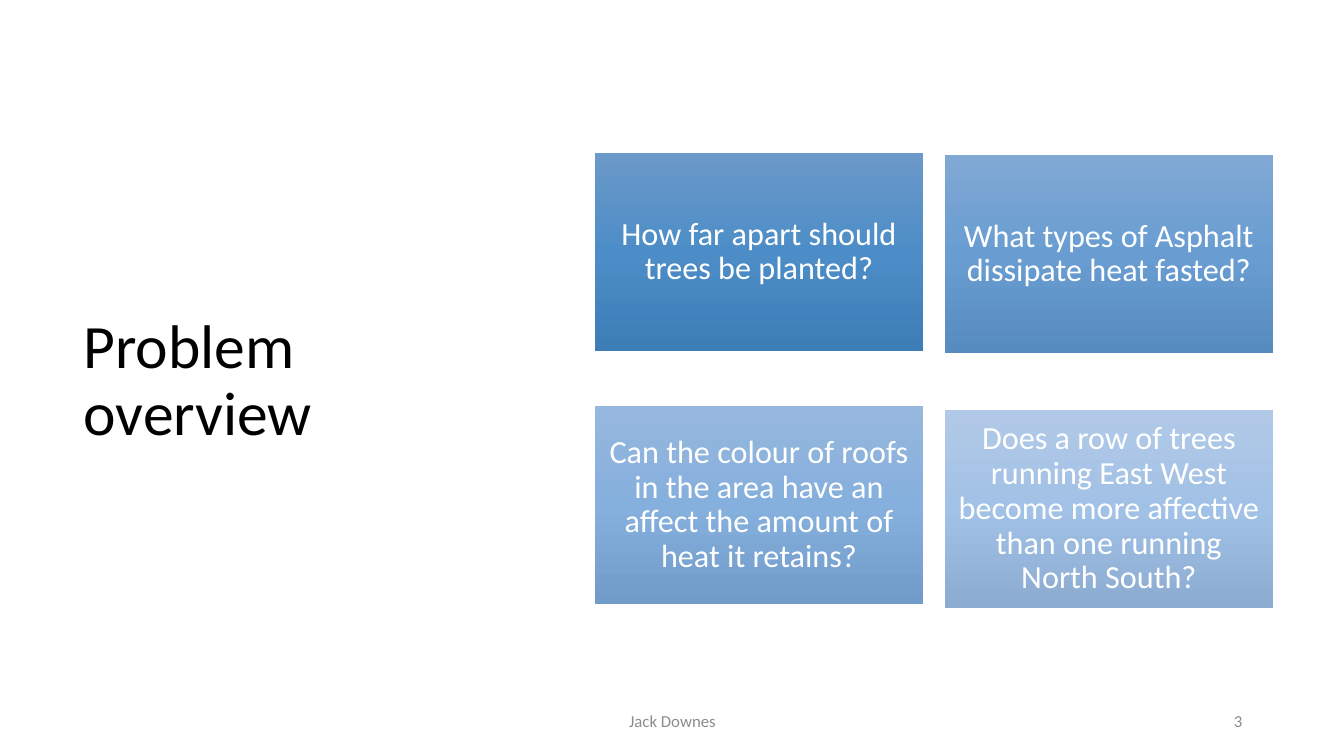
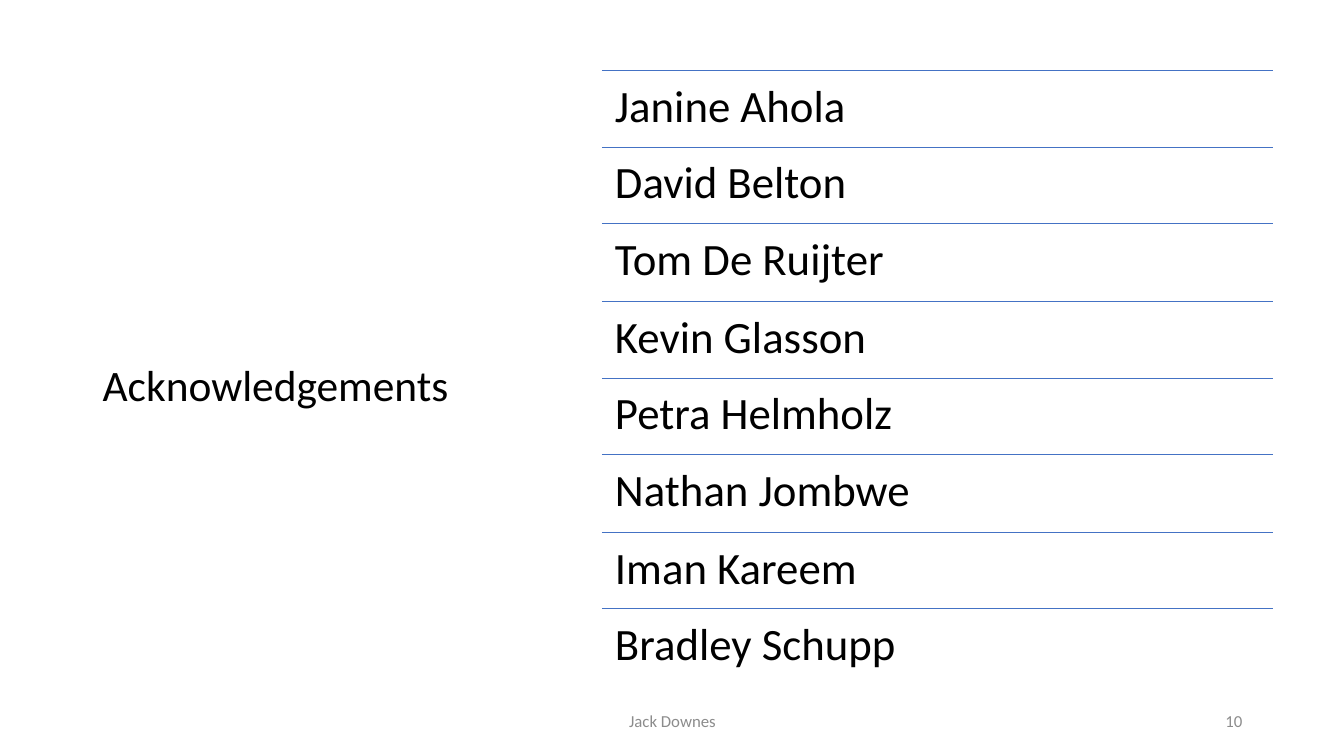
"""Builds a problem overview slide and an acknowledgements slide."""
from copy import deepcopy

from lxml import etree
from pptx import Presentation
from pptx.dml.color import RGBColor
from pptx.enum.shapes import MSO_CONNECTOR, MSO_SHAPE
from pptx.enum.text import MSO_ANCHOR, PP_ALIGN
from pptx.oxml.ns import qn
from pptx.util import Emu, Pt

EMU_PER_PX = 9144
SLIDE_WIDTH, SLIDE_HEIGHT = 1333, 750
FONT = "Calibri"
BLACK = RGBColor(0x00, 0x00, 0x00)
WHITE = RGBColor(0xFF, 0xFF, 0xFF)
GREY = RGBColor(0x8C, 0x8C, 0x8C)
RULE_BLUE = RGBColor(0x44, 0x72, 0xC4)
CARD_GRADIENTS = [
    [RGBColor(0x6B, 0x99, 0xC9), RGBColor(0x4D, 0x8D, 0xC7), RGBColor(0x3E, 0x7E, 0xB7)],
    [RGBColor(0x80, 0xA8, 0xD3), RGBColor(0x69, 0x9D, 0xD2), RGBColor(0x57, 0x8C, 0xC0)],
    [RGBColor(0x97, 0xB8, 0xDE), RGBColor(0x85, 0xAF, 0xDC), RGBColor(0x71, 0x9B, 0xC9)],
    [RGBColor(0xB1, 0xC9, 0xE7), RGBColor(0xA2, 0xC1, 0xE6), RGBColor(0x8C, 0xAB, 0xD1)],
]
LEFT, CENTER, RIGHT = PP_ALIGN.LEFT, PP_ALIGN.CENTER, PP_ALIGN.RIGHT
TOP, MIDDLE = MSO_ANCHOR.TOP, MSO_ANCHOR.MIDDLE
RECTANGLE = MSO_SHAPE.RECTANGLE
STRAIGHT = MSO_CONNECTOR.STRAIGHT

PRESENTER = "Jack Downes"
QUESTIONS = [
    "How far apart should trees be planted?",
    "What types of Asphalt dissipate heat fasted?",
    "Can the colour of roofs in the area have an affect the amount of heat it retains?",
    "Does a row of trees running East West become more affective than one running North South?",
]
NAMES = [
    "Janine Ahola", "David Belton", "Tom De Ruijter", "Kevin Glasson",
    "Petra Helmholz", "Nathan Jombwe", "Iman Kareem", "Bradley Schupp",
]


def px(*lengths):
    """Turn pixel lengths into EMU."""
    return [Emu(length * EMU_PER_PX) for length in lengths]


def write(shape, text, size, color, align=LEFT, anchor=MIDDLE, spacing=0.9, inset=None):
    """Put one styled paragraph into a shape."""
    frame = shape.text_frame
    frame.word_wrap = True
    frame.vertical_anchor = anchor
    if inset is not None:
        frame.margin_left, frame.margin_top, frame.margin_right, frame.margin_bottom = px(*[inset] * 4)
    paragraph = frame.paragraphs[0]
    paragraph.alignment = align
    paragraph.line_spacing = spacing
    run = paragraph.add_run()
    run.text = text
    run.font.name = FONT
    run.font.size = Pt(size)
    run.font.color.rgb = color


def add_text(slide, box, text, size, color, **style):
    """Add a text box."""
    write(slide.shapes.add_textbox(*px(*box)), text, size, color, **style)


def add_card(slide, box, text, colors):
    """Add a question card with a vertical gradient."""
    card = slide.shapes.add_shape(RECTANGLE, *px(*box))
    card.shadow.inherit = False
    card.line.fill.background()
    card.fill.gradient()
    card.fill.gradient_angle = 270
    stop_list = card._element.xpath(".//a:gsLst")[0]
    stop_list.append(deepcopy(stop_list[0]))
    for stop, color, position in zip(card.fill.gradient_stops, colors, (0, 0.5, 1)):
        stop.color.rgb = color
        stop.position = position
    write(card, text, 23, WHITE, align=CENTER, inset=10)


def add_card_grid(slide, box):
    """Lay the questions out in two columns, the right one slightly lower."""
    left, top, width, height = box
    card_width, card_height = 326, 196
    for index, (question, colors) in enumerate(zip(QUESTIONS, CARD_GRADIENTS)):
        row, column = divmod(index, 2)
        x = left + column * (width - card_width)
        y = top + row * (height - card_height) + column * (row + 1) * 2
        add_card(slide, (x, y, card_width, card_height), question, colors)


def add_name_list(slide, box):
    """Stack the names in equal rows, each under a thin rule."""
    left, top, width, height = box
    row_height = height // len(NAMES)
    for index, name in enumerate(NAMES):
        y = top + round(index * height / len(NAMES))
        rule = slide.shapes.add_connector(STRAIGHT, *px(left, y, left + width, y))
        rule.line.color.rgb = RULE_BLUE
        rule.line.width = Pt(0.5)
        etree.SubElement(rule._element.spPr, qn("a:effectLst"))
        add_text(slide, (left, y, width, row_height), name, 32, BLACK, anchor=TOP, inset=13)


def add_base_slide(presentation, title, title_box, title_size, number):
    """Add a blank slide with its title, footer and slide number."""
    slide = presentation.slides.add_slide(presentation.slide_layouts[6])
    add_text(slide, title_box, title, title_size, BLACK)
    add_text(slide, (442, 695, 450, 40), PRESENTER, 12, GREY, align=CENTER, spacing=1.0)
    add_text(slide, (942, 695, 300, 40), str(number), 12, GREY, align=RIGHT, spacing=1.0)
    return slide


def main():
    """Build and save the presentation."""
    presentation = Presentation()
    presentation.slide_width, presentation.slide_height = px(SLIDE_WIDTH, SLIDE_HEIGHT)
    overview = add_base_slide(presentation, "Problem overview", (73, 78, 369, 602), 44, 3)
    add_card_grid(overview, (590, 152, 673, 447))
    thanks = add_base_slide(presentation, "Acknowledgements", (92, 89, 365, 591), 31, 10)
    add_name_list(thanks, (597, 70, 666, 610))
    presentation.save("out.pptx")


if __name__ == "__main__":
    main()
